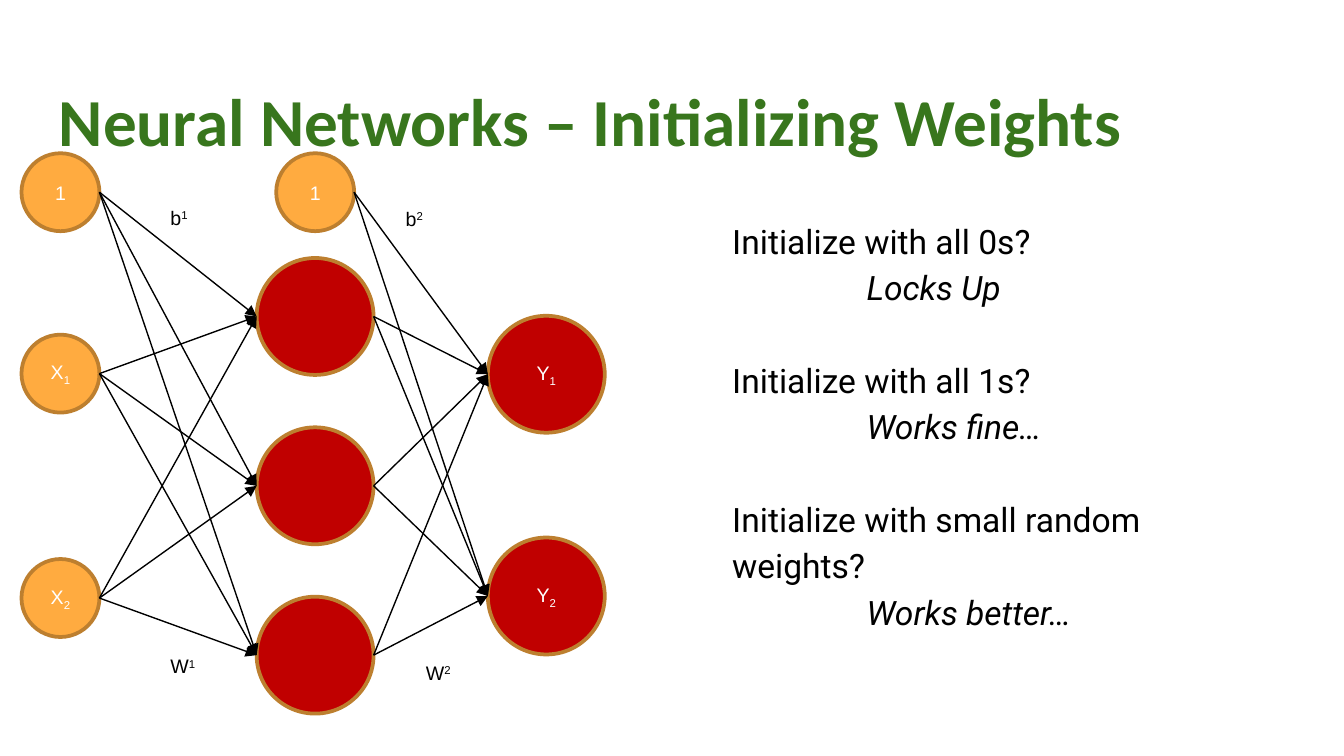
from pptx import Presentation
from pptx import util as u
from pptx.dml.color import RGBColor
from pptx.enum import shapes, text
from pptx.oxml.ns import qn
from lxml import etree

COLORS = {
    "title": "38761D",
    "input": "FFAB40",
    "neuron": "C00000",
    "outline": "BD7F2F",
    "black": "000000",
    "white": "FFFFFF",
}
SLIDE_WIDTH = 10
SMALL, LARGE = 0.58, 0.87  # node diameters
INPUT_X, HIDDEN_X, OUTPUT_X = 0.16, 1.91, 3.63

ADVICE = [
    ("Initialize with all 0s?", "Locks Up"),
    ("Initialize with all 1s?", "Works fine…"),
    ("Initialize with small random weights?", "Works better…"),
]


def color(name):
    return RGBColor.from_string(COLORS[name])


def style(run, font, size, fill, bold=False, italic=False, baseline=0):
    run.font.name = font
    run.font.size = u.Pt(size)
    run.font.color.rgb = color(fill)
    run.font.bold = bold
    run.font.italic = italic
    if baseline:
        run._r.get_or_add_rPr().set("baseline", str(baseline * 1000))


def add_box(s, x, y, w, h, margin=0.1):
    tf = s.shapes.add_textbox(*map(u.Inches, (x, y, w, h))).text_frame
    tf.word_wrap = True
    tf.margin_top = tf.margin_bottom = u.Inches(margin)
    return tf


def add_symbol(p, base, index, fill, baseline):
    """Write a letter followed by a raised or lowered index."""
    for value, shift in ((base, 0), (index, baseline)):
        if value:
            r = p.add_run()
            r.text = value
            style(r, "Arial", 10.5, fill, baseline=shift)


def add_node(s, x, y, size, fill, base="", index=""):
    node = s.shapes.add_shape(shapes.MSO_SHAPE.OVAL, *map(u.Inches, (x, y, size, size)))
    node.shadow.inherit = False
    node.fill.solid()
    node.fill.fore_color.rgb = color(fill)
    node.line.color.rgb = color("outline")
    node.line.width = u.Pt(2)
    tf = node.text_frame
    tf.vertical_anchor = text.MSO_ANCHOR.MIDDLE
    p = tf.paragraphs[0]
    p.alignment = text.PP_ALIGN.CENTER
    add_symbol(p, base, index, "white", -25)
    return node


def add_arrow(s, source, target):
    """Draw from the right side of one node to the left side of another."""
    line = s.shapes.add_connector(
        shapes.MSO_CONNECTOR.STRAIGHT,
        source.left + source.width, source.top + source.height // 2,
        target.left, target.top + target.height // 2)
    line.line.color.rgb = color("black")
    line.line.width = u.Pt(0.75)
    etree.SubElement(line.line._get_or_add_ln(), qn("a:tailEnd"), type="triangle")
    etree.SubElement(line._element.spPr, qn("a:effectLst"))


def add_layer_arrows(s, sources, targets):
    for source in sources:
        for target in targets:
            add_arrow(s, source, target)


def add_label(s, x, y, base, index):
    tf = add_box(s, x, y, 0.48, 0.28, margin=0.05)
    add_symbol(tf.paragraphs[0], base, index, "black", 30)


def add_title(s, words):
    p = add_box(s, 0.34, 0.49, 9.32, 0.63).paragraphs[0]
    p.text = words
    style(p.runs[0], "Calibri", 36, "title", bold=True)


def add_advice(s):
    tf = add_box(s, 5.35, 1.5, 3.96, 4.13)
    for i, (question, answer) in enumerate(ADVICE):
        for words, is_answer in ((question, False), (answer, True)):
            first = i == 0 and not is_answer
            p = tf.paragraphs[0] if first else tf.add_paragraph()
            p.text = words
            p.line_spacing = 1.15
            if is_answer:
                p._p.get_or_add_pPr().set("marL", str(u.Inches(1)))
            elif not first:
                p.space_before = u.Pt(24.8)
            style(p.runs[0], "Roboto", 18, "black", italic=is_answer)


def main():
    prs = Presentation()
    prs.slide_width = u.Inches(SLIDE_WIDTH)
    prs.slide_height = u.Inches(SLIDE_WIDTH * 9 / 16)
    s = prs.slides.add_slide(prs.slide_layouts[6])

    # Title and advice
    add_title(s, "Neural Networks – Initializing Weights")
    add_advice(s)

    # Network layers, each with its bias node
    inputs = [add_node(s, INPUT_X, y, SMALL, "input", base, index)
              for y, base, index in ((1.14, "1", ""), (2.49, "X", "1"), (4.16, "X", "2"))]
    hidden = [add_node(s, HIDDEN_X, 1.92 + 1.26 * i, LARGE, "neuron") for i in range(3)]
    bias = add_node(s, HIDDEN_X + (LARGE - SMALL) / 2, 1.14, SMALL, "input", "1")
    outputs = [add_node(s, OUTPUT_X, y, LARGE, "neuron", "Y", index)
               for y, index in ((2.35, "1"), (4, "2"))]

    # Weights between the layers
    add_layer_arrows(s, inputs, hidden)
    add_layer_arrows(s, [bias] + hidden, outputs)

    # Weight and bias labels
    for x, y, base, index in ((1.17, 1.48, "b", "1"), (2.92, 1.49, "b", "2"),
                              (1.17, 4.82, "W", "1"), (3.07, 4.87, "W", "2")):
        add_label(s, x, y, base, index)

    prs.save("out.pptx")


if __name__ == "__main__":
    main()
